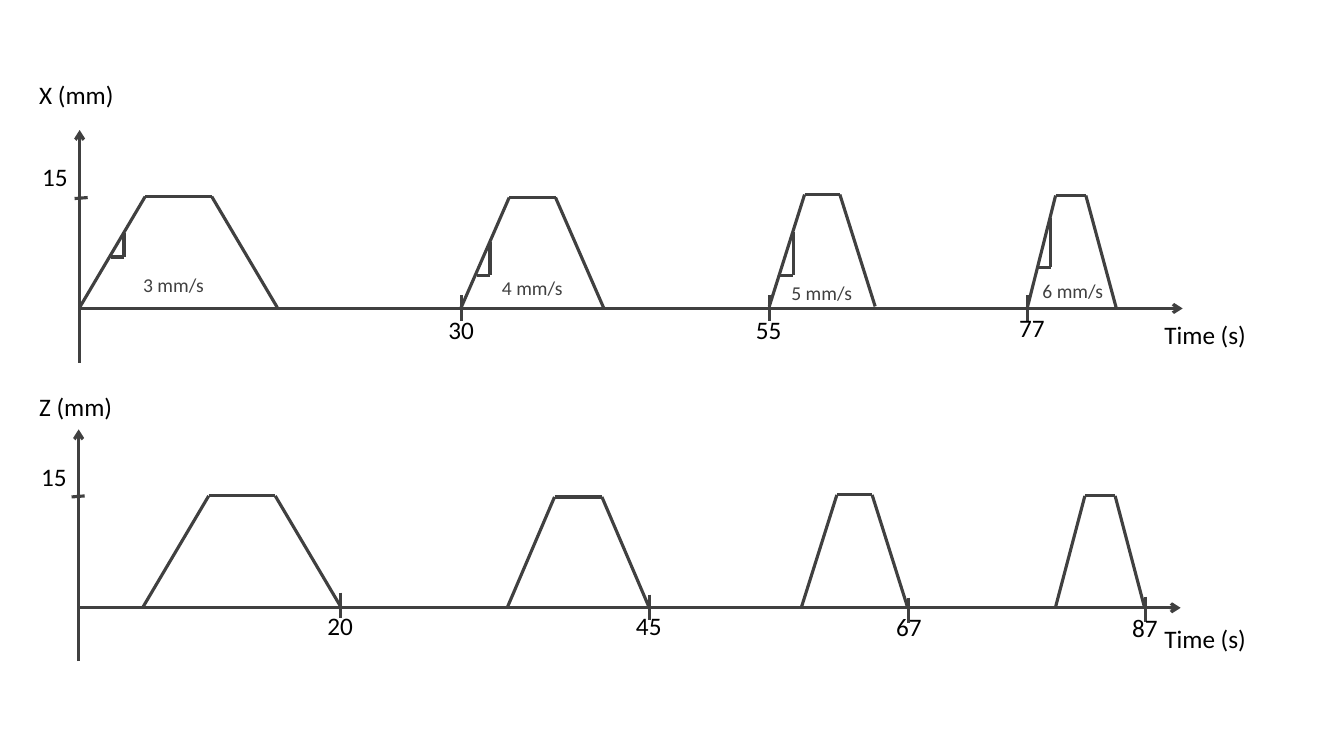
from itertools import pairwise

from lxml.etree import SubElement
from pptx import Presentation
from pptx.dml.color import RGBColor
from pptx.enum.shapes import MSO_CONNECTOR
from pptx.enum.text import MSO_AUTO_SIZE
from pptx.oxml.ns import qn
from pptx.util import Inches, Pt

GREY = RGBColor(0x40, 0x40, 0x40)
BLACK = RGBColor(0, 0, 0)

# Each pulse: base left, top left, top right, base right, top, base
X_PULSES = [
    (0.79, 1.44, 2.1, 2.75, 1.95, 3.05),
    (4.57, 5.05, 5.51, 5.99, 1.96, 3.06),
    (7.63, 7.98, 8.33, 8.68, 1.93, 3.04),
    (10.19, 10.47, 10.77, 11.07, 1.94, 3.05),
]
Z_PULSES = [
    (1.42, 2.07, 2.73, 3.38, 4.92, 6.02),
    (5.03, 5.5, 5.97, 6.44, 4.93, 6.03),
    (7.95, 8.3, 8.65, 9, 4.91, 6.02),
    (10.47, 10.76, 11.06, 11.35, 4.92, 6.02),
]
# Each tick: label, x, tick top, label left, label top
X_TICKS = [
    ("30", 4.58, 2.93, 4.35, 3.07),
    ("55", 7.63, 2.93, 7.4, 3.07),
    ("77", 10.19, 2.93, 10.01, 3.05),
]
Z_TICKS = [
    ("20", 3.38, 5.88, 3.15, 6.01),
    ("45", 6.44, 5.9, 6.21, 6.01),
    ("67", 9.01, 5.93, 8.79, 6.02),
    ("87", 11.36, 5.92, 11.13, 6.03),
]
# Each slope: label, mark left, mark right, mark top, mark foot, label left, label top
SLOPES = [
    ("3 mm/s", 1.1, 1.23, 2.31, 2.55, 1.32, 2.66),
    ("4 mm/s", 4.73, 4.86, 2.4, 2.73, 4.88, 2.69),
    ("5 mm/s", 7.73, 7.87, 2.3, 2.73, 7.75, 2.74),
    ("6 mm/s", 10.29, 10.42, 2.16, 2.65, 10.24, 2.72),
]


class Sketch:
    """Draws lines and labels in one style on the current slide."""

    font = "Calibri"
    weight = Pt(2.25)

    def __init__(self, slide):
        self.shapes = slide.shapes

    def line(self, start, end, arrow=False):
        line = self.shapes.add_connector(
            MSO_CONNECTOR.STRAIGHT, *map(Inches, (*start, *end)))
        line.line.color.rgb = GREY
        line.line.width = self.weight
        props = line._element.spPr
        if arrow:
            SubElement(props.find(qn("a:ln")), qn("a:tailEnd"), type="arrow")
        SubElement(props, qn("a:effectLst"))

    def trace(self, *points):
        for start, end in pairwise(points):
            self.line(start, end)

    def label(self, text, left, top, width=0.46, height=0.4, size=18, color=BLACK):
        frame = self.shapes.add_textbox(
            *map(Inches, (left, top, width, height))).text_frame
        frame.word_wrap = False
        frame.auto_size = MSO_AUTO_SIZE.SHAPE_TO_FIT_TEXT
        frame.text = text
        font = frame.paragraphs[0].font
        font.name, font.size, font.color.rgb = self.font, Pt(size), color

    def axes(self, left, right, top, base, foot):
        self.line((left, foot), (left, top), arrow=True)
        self.line((left, base), (right, base), arrow=True)

    def pulse(self, left, rise, fall, right, top, base):
        self.trace((left, base), (rise, top), (fall, top), (right, base))

    def tick(self, text, x, top, left, text_top):
        self.line((x, top), (x, top + 0.25))
        self.label(text, left, text_top)

    def slope(self, text, left, right, top, foot, text_left, text_top):
        self.trace((left, foot), (right, foot), (right, top))
        self.label(text, text_left, text_top, 0.81, 0.34, 14, GREY)


def main():
    deck = Presentation()
    deck.slide_width, deck.slide_height = Inches(13.33), Inches(7.5)
    sketch = Sketch(deck.slides.add_slide(deck.slide_layouts[6]))

    sketch.axes(0.79, 11.73, 1.29, 3.06, 3.6)
    sketch.axes(0.78, 11.71, 4.26, 6.03, 6.56)
    for pulse in X_PULSES + Z_PULSES:
        sketch.pulse(*pulse)
    for tick in X_TICKS + Z_TICKS:
        sketch.tick(*tick)
    for slope in SLOPES:
        sketch.slope(*slope)

    sketch.line((0.74, 1.97), (0.87, 1.96))
    sketch.line((0.71, 4.93), (0.84, 4.92))
    sketch.label("15", 0.32, 1.55)
    sketch.label("15", 0.31, 4.53)
    sketch.label("X (mm)", 0.29, 0.74, 0.95)
    sketch.label("Z (mm)", 0.29, 3.83, 0.93)
    for top in (3.12, 6.13):
        sketch.label("Time (s)", 11.45, top, 1.02)

    deck.save("out.pptx")


if __name__ == "__main__":
    main()
